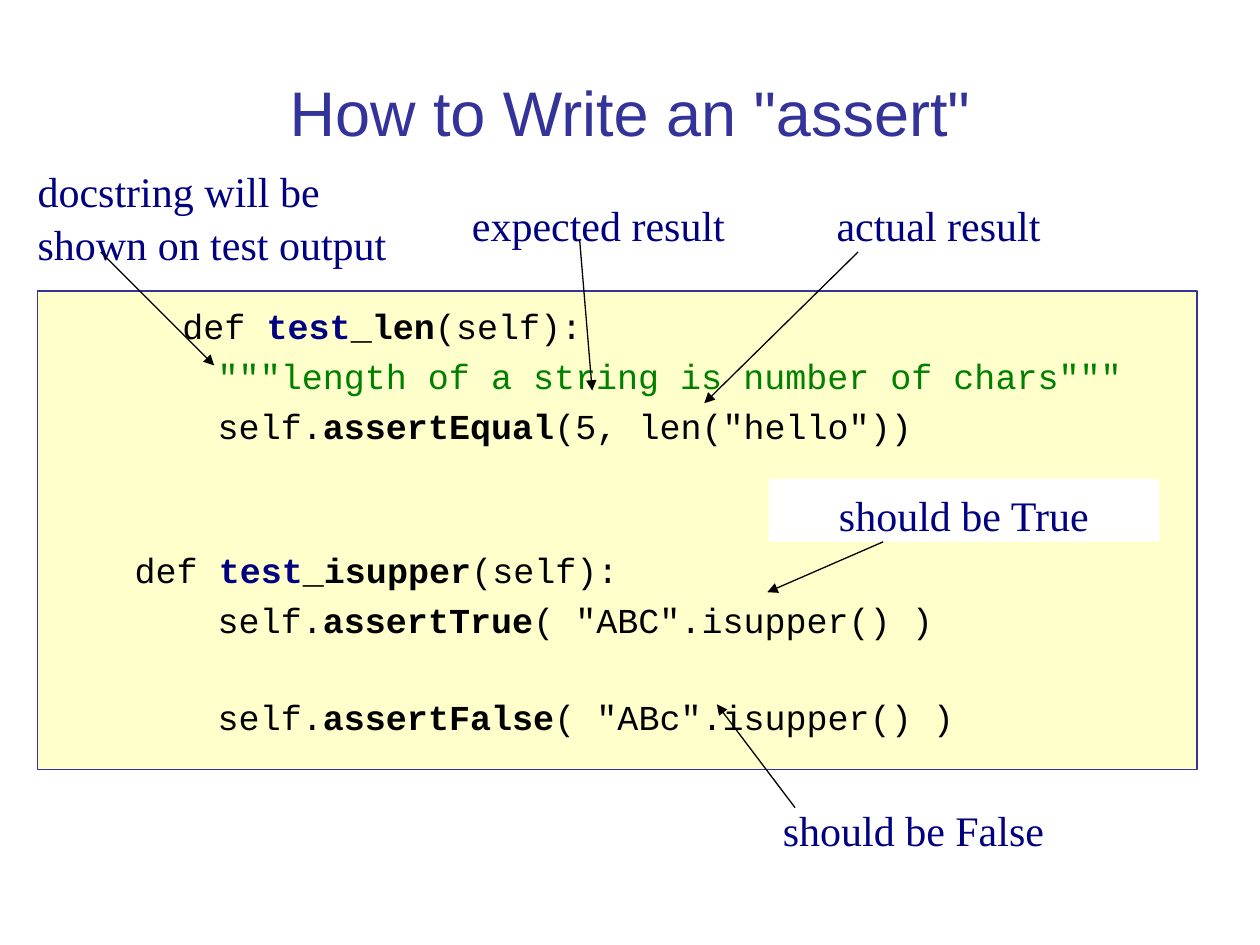
from lxml.etree import SubElement
from pptx import Presentation
from pptx.dml.color import RGBColor
from pptx.enum.shapes import MSO_CONNECTOR, MSO_SHAPE
from pptx.enum.text import MSO_ANCHOR, PP_ALIGN
from pptx.oxml.ns import qn
from pptx.util import Inches, Pt

INDIGO = RGBColor(0x33, 0x33, 0x99)
NAVY = RGBColor(0x00, 0x00, 0x80)
GREEN = RGBColor(0x00, 0x80, 0x00)
BLACK = RGBColor(0x00, 0x00, 0x00)
CREAM = RGBColor(0xFF, 0xFF, 0xCC)
WHITE = RGBColor(0xFF, 0xFF, 0xFF)

CODE_SIZE = 20
CODE_PITCH = 27  # points from one code line to the next
CODE_GAP = 4.4  # points between adjacent code lines
DEF_INDENT, BODY_INDENT = 0.67, 1.33

# Each line: indent in inches, blank lines above, runs of (text, colour, bold)
CODE = [
    (DEF_INDENT + 0.38, 0, [("def ", BLACK, False), ("test", NAVY, True),
                            ("_len", BLACK, True), ("(self):", BLACK, False)]),
    (BODY_INDENT, 0, [('"""length of a string is number of chars"""', GREEN, False)]),
    (BODY_INDENT, 0, [("self.", BLACK, False), ("assertEqual", BLACK, True),
                      ('(5, len("hello"))', BLACK, False)]),
    (DEF_INDENT, 2, [("def ", BLACK, False), ("test", NAVY, True),
                     ("_isupper", BLACK, True), ("(self):", BLACK, False)]),
    (BODY_INDENT, 0, [("self.", BLACK, False), ("assertTrue", BLACK, True),
                      ('( "ABC".isupper() )', BLACK, False)]),
    (BODY_INDENT, 1, [("self.", BLACK, False), ("assertFalse", BLACK, True),
                      ('( "ABc".isupper() )', BLACK, False)]),
]

# Each callout: text, box, alignment, arrow start, arrow end
CALLOUTS = [
    ("expected result", (3.5, 1.5, 2.5, 0.5), PP_ALIGN.CENTER, (4.6, 1.9), (4.7, 3.1)),
    ("actual result", (6.2, 1.5, 2.5, 0.5), PP_ALIGN.CENTER, (6.81, 2), (5.59, 3.2)),
    ("should be True", (6.1, 3.8, 3.1, 0.5), PP_ALIGN.CENTER, (7.01, 4.3), (6.09, 4.7)),
    ("should be False", (5.7, 6.3, 3.1, 0.5), PP_ALIGN.CENTER, (6.31, 6.41), (5.69, 5.59)),
    ("docstring will be shown on test output", (0.2, 1.23, 3.1, 0.9), PP_ALIGN.LEFT,
     (0.8, 2), (1.7, 2.9)),
]


def add_text(paragraph, text, *, font, size, color, bold=False):
    run = paragraph.add_run()
    run.text = text
    run.font.name = font
    run.font.size = Pt(size)
    run.font.bold = bold
    run.font.color.rgb = color


def prepare_frame(shape, anchor=MSO_ANCHOR.TOP, top_inset=0.05):
    frame = shape.text_frame
    frame.word_wrap = True
    frame.vertical_anchor = anchor
    frame.margin_top = Inches(top_inset)
    return frame


def add_panel(slide, box, fill, line=None):
    panel = slide.shapes.add_shape(MSO_SHAPE.RECTANGLE, *map(Inches, box))
    panel.shadow.inherit = False
    panel.fill.solid()
    panel.fill.fore_color.rgb = fill
    if line is None:
        panel.line.fill.background()
    else:
        panel.line.color.rgb = line
        panel.line.width = Pt(0.75)
    return panel


def add_arrow(slide, start, end):
    arrow = slide.shapes.add_connector(MSO_CONNECTOR.STRAIGHT, *map(Inches, start + end))
    arrow.line.color.rgb = BLACK
    arrow.line.width = Pt(0.75)
    SubElement(arrow.line._get_or_add_ln(), qn("a:tailEnd"), type="triangle")
    SubElement(arrow._element.spPr, qn("a:effectLst"))


def add_title(slide, box, text):
    title = slide.shapes.add_textbox(*map(Inches, box))
    paragraph = prepare_frame(title, MSO_ANCHOR.BOTTOM).paragraphs[0]
    paragraph.alignment = PP_ALIGN.CENTER
    add_text(paragraph, text, font="Arial", size=36, color=INDIGO)


def add_code(slide, box, lines):
    frame = prepare_frame(add_panel(slide, box, CREAM, INDIGO), top_inset=0.11)
    for number, (indent, blanks, runs) in enumerate(lines):
        paragraph = frame.add_paragraph() if number else frame.paragraphs[0]
        paragraph.alignment = PP_ALIGN.LEFT
        paragraph._p.get_or_add_pPr().set("marL", str(Inches(indent)))
        if number:
            paragraph.space_before = Pt(CODE_GAP + blanks * CODE_PITCH)
        for text, color, bold in runs:
            add_text(paragraph, text, font="Courier New", size=CODE_SIZE,
                     color=color, bold=bold)


def add_callout(slide, box, text, alignment, start, end):
    """Place a label in its box, with an arrow to the code it explains."""
    frame = prepare_frame(add_panel(slide, box, WHITE), top_inset=0.07)
    paragraph = frame.paragraphs[0]
    paragraph.alignment = alignment
    paragraph.line_spacing = 1.04
    add_text(paragraph, text, font="Times New Roman", size=24, color=NAVY)
    add_arrow(slide, start, end)


def main():
    deck = Presentation()
    deck.slide_width, deck.slide_height = Inches(10), Inches(7.5)
    slide = deck.slides.add_slide(deck.slide_layouts[6])
    add_title(slide, (0.67, 0.28, 8.66, 0.95), 'How to Write an "assert"')
    add_code(slide, (0.3, 2.31, 9.2, 3.8), CODE)
    for text, box, alignment, start, end in CALLOUTS:
        add_callout(slide, box, text, alignment, start, end)
    deck.save("out.pptx")


if __name__ == "__main__":
    main()
